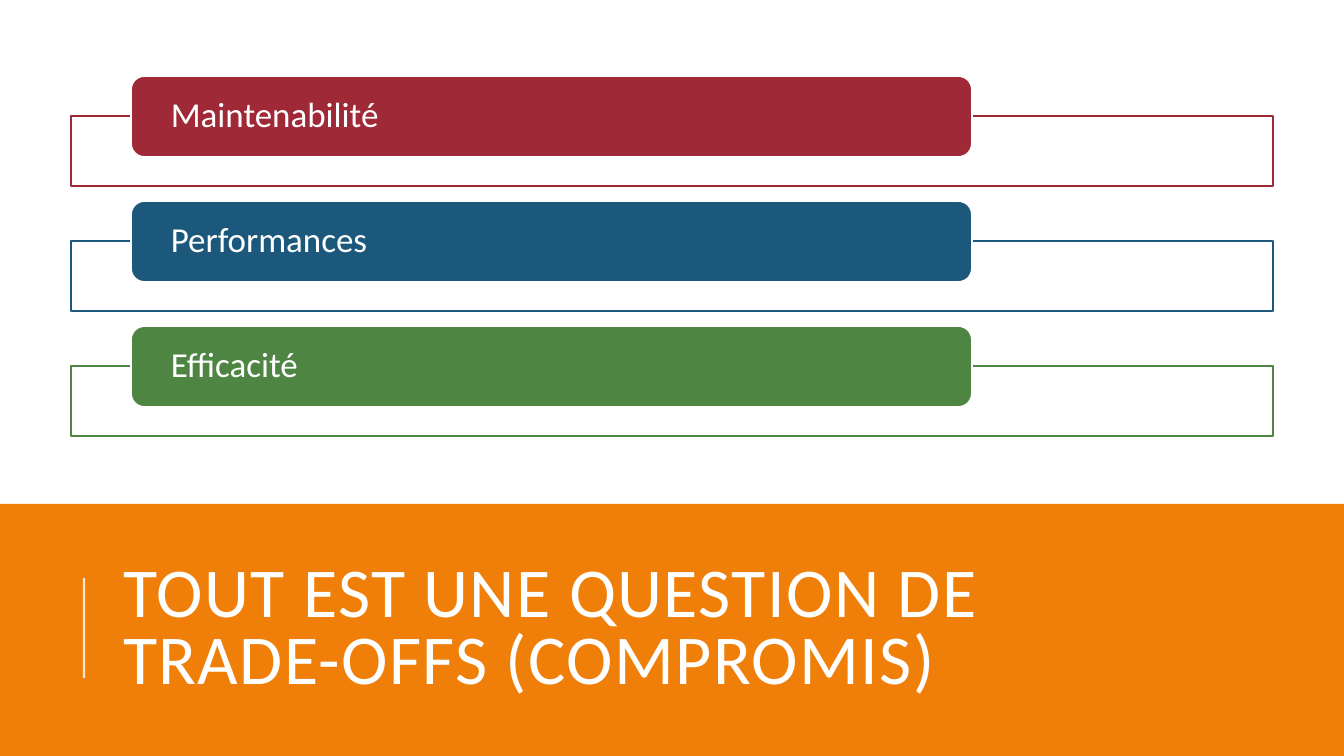
from typing import NamedTuple

from pptx import Presentation
from pptx import util as u
from pptx.dml.color import RGBColor
from pptx.enum import shapes, text
from pptx.oxml import ns
from lxml import etree

SCALE = 914400 / 100.8
FONT = "Calibri"
HUES = {
    "white": "FFFFFF",
    "orange": "F07F09",
    "red": "9F2936",
    "blue": "1B587C",
    "green": "4E8542",
}


class Box(NamedTuple):
    left: int
    top: int
    width: int
    height: int


class Row(NamedTuple):
    label: str
    hue: str


ROWS = [
    Row("Maintenabilité", "red"),
    Row("Performances", "blue"),
    Row("Efficacité", "green"),
]
PITCH = 125
FRAME = Box(71, 116, 1202, 70)
BAR = Box(131, 76, 841, 81)
BAND = Box(0, 504, 1344, 252)
TITLE = Box(113, 548, 1072, 165)


def px(n: int) -> u.Emu:
    return u.Emu(round(n * SCALE))


def tint(name: str) -> RGBColor:
    return RGBColor.from_string(HUES[name])


def fade(fill, percent: int) -> None:
    color = fill.fore_color._xFill[0]
    etree.SubElement(color, ns.qn("a:alpha"), val=str(percent * 1000))


def block(slide, kind, box: Box, fill: str, line: str | None = None):
    shape = slide.shapes.add_shape(kind, *map(px, box))
    shape.shadow.inherit = False
    shape.fill.solid()
    shape.fill.fore_color.rgb = tint(fill)
    if line:
        shape.line.color.rgb = tint(line)
        shape.line.width = u.Pt(1.25)
    else:
        shape.line.fill.background()
    return shape


def write(frame, words: str, size: int, space: float):
    frame.text = words
    frame.word_wrap = True
    frame.auto_size = text.MSO_AUTO_SIZE.NONE
    frame.vertical_anchor = text.MSO_ANCHOR.MIDDLE
    para = frame.paragraphs[0]
    para.alignment = text.PP_ALIGN.LEFT
    para.line_spacing = space
    para.space_before = u.Pt(0)
    para.font.name = FONT
    para.font.size = u.Pt(size)
    para.font.color.rgb = tint("white")
    return para


def draw_row(slide, row: Row, shift: int) -> None:
    frame = block(slide, shapes.MSO_SHAPE.RECTANGLE,
                  FRAME._replace(top=FRAME.top + shift), "white", row.hue)
    fade(frame.fill, 90)
    bar = block(slide, shapes.MSO_SHAPE.ROUNDED_RECTANGLE,
                BAR._replace(top=BAR.top + shift), row.hue, "white")
    body = bar.text_frame
    body.margin_left = body.margin_right = px(36)
    body.margin_top = body.margin_bottom = 0
    write(body, row.label, 25, 0.9)


def draw_title(slide) -> None:
    block(slide, shapes.MSO_SHAPE.RECTANGLE, BAND, "orange")
    title = slide.shapes.title
    title.left, title.top, title.width, title.height = map(px, TITLE)
    para = write(title.text_frame,
                 "TOUT EST UNE QUESTION DE TRADE-OFFS (COMPROMIS)", 50, 0.8)
    para.runs[0].font._element.set("spc", "100")
    slide.shapes.element.append(title.element)


def draw_rule(slide) -> None:
    rule = slide.shapes.add_connector(
        shapes.MSO_CONNECTOR.STRAIGHT, px(84), px(678), px(84), px(578))
    rule.line.color.rgb = tint("white")
    rule.line.width = u.Pt(1.5)
    fade(rule.line.fill, 80)
    etree.SubElement(rule.element.spPr, ns.qn("a:effectLst"))


def main() -> None:
    deck = Presentation()
    deck.slide_width, deck.slide_height = px(1344), px(756)
    slide = deck.slides.add_slide(deck.slide_layouts[5])
    draw_title(slide)
    draw_rule(slide)
    for i, row in enumerate(ROWS):
        draw_row(slide, row, i * PITCH)
    deck.save("out.pptx")


if __name__ == "__main__":
    main()
